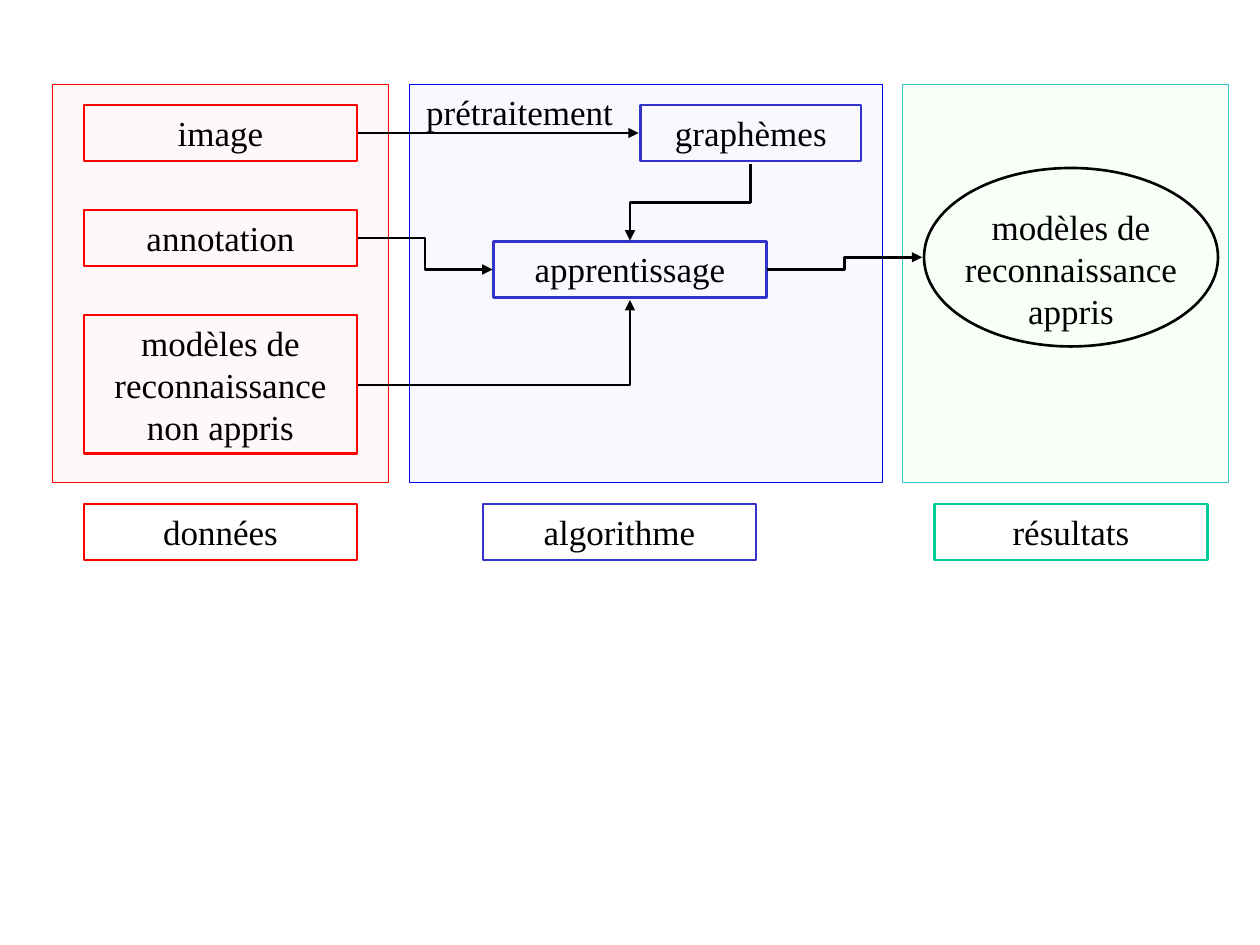
from dataclasses import dataclass

from lxml import etree
from pptx import Presentation
from pptx.dml.color import RGBColor
from pptx.enum.shapes import MSO_CONNECTOR, MSO_SHAPE
from pptx.enum.text import MSO_ANCHOR, MSO_AUTO_SIZE, PP_ALIGN
from pptx.oxml.ns import qn
from pptx.util import Pt

RECTANGLE, ELLIPSE = MSO_SHAPE.RECTANGLE, MSO_SHAPE.OVAL
STRAIGHT, ELBOW = MSO_CONNECTOR.STRAIGHT, MSO_CONNECTOR.ELBOW
TOP, CENTER, GROW = MSO_ANCHOR.TOP, PP_ALIGN.CENTER, MSO_AUTO_SIZE.SHAPE_TO_FIT_TEXT


@dataclass(frozen=True)
class Theme:
    font: str = "Times New Roman"
    size: float = 20
    space_before: float = 12.5
    thin: float = 0.5
    thick: float = 1.5
    black: str = "000000"
    red: str = "FF0000"
    blue: str = "0000FF"
    indigo: str = "3333CC"
    turquoise: str = "33CCCC"
    green: str = "00CC99"
    pale_red: str = "FFF3F3"
    pale_blue: str = "F6F3FF"
    pale_green: str = "F4FFF3"


theme = Theme()


def add_outline(shapes, kind, bounds, color, width):
    shape = shapes.add_shape(kind, *(Pt(value) for value in bounds))
    shape.shadow.inherit = False
    shape.fill.background()
    shape.line.color.rgb = RGBColor.from_string(color)
    shape.line.width = Pt(width)
    return shape


def write_label(shape, text):
    frame = shape.text_frame
    frame.text = text
    frame.word_wrap = True
    frame.auto_size = GROW
    frame.vertical_anchor = TOP
    paragraph = frame.paragraphs[0]
    paragraph.alignment = CENTER
    paragraph.space_before = Pt(theme.space_before)
    font = paragraph.runs[0].font
    font.name = theme.font
    font.size = Pt(theme.size)
    font.color.rgb = RGBColor.from_string(theme.black)


presentation = Presentation()
presentation.slide_width, presentation.slide_height = Pt(720), Pt(540)
slide = presentation.slides.add_slide(presentation.slide_layouts[6])
shapes = slide.shapes

# Half-transparent column panels
for left, width, line, fill in (
    (516, 186, theme.turquoise, theme.pale_green),
    (234, 270, theme.blue, theme.pale_blue),
    (30, 192, theme.red, theme.pale_red),
):
    panel = add_outline(shapes, RECTANGLE, (left, 48, width, 228), line, theme.thin)
    panel.fill.solid()
    panel.fill.fore_color.rgb = RGBColor.from_string(fill)
    color = panel.fill._xPr.find(qn("a:solidFill"))[0]
    etree.SubElement(color, qn("a:alpha")).set("val", "50000")

# Labelled boxes and column captions
box_width, one_line, three_lines = 156, 32, 79
for text, left, top, width, height, color in (
    ("image", 48, 60, box_width, one_line, theme.red),
    ("annotation", 48, 120, box_width, one_line, theme.red),
    ("modèles de reconnaissance non appris", 48, 180, box_width, three_lines, theme.red),
    ("graphèmes", 366, 60, 126, one_line, theme.indigo),
    ("apprentissage", 282, 138, box_width, one_line, theme.indigo),
    ("données", 48, 288, box_width, one_line, theme.red),
    ("algorithme", 276, 288, box_width, one_line, theme.indigo),
    ("résultats", 534, 288, box_width, one_line, theme.green),
):
    box = add_outline(shapes, RECTANGLE, (left, top, width, height), color, theme.thick)
    write_label(box, text)

# Label of the preprocessing arrow
write_label(shapes.add_textbox(Pt(228), Pt(48), Pt(138), Pt(one_line)), "prétraitement")

# Learned models: ellipse grouped with its text
result = shapes.add_group_shape()
add_outline(result.shapes, ELLIPSE, (528, 96, 168, 102), theme.black, theme.thick)
write_label(
    result.shapes.add_textbox(Pt(534), Pt(114), Pt(box_width), Pt(three_lines)),
    "modèles de reconnaissance appris",
)

# Arrows: kind, geometry, start, end, quarter turn
for kind, geometry, start, end, turned in (
    (STRAIGHT, "line", (204.5, 76), (365, 76), False),
    (ELBOW, "bentConnector3", (204.5, 136), (281.5, 154), False),
    (ELBOW, "bentConnector3", (429, 94), (360, 137.5), True),
    (ELBOW, "bentConnector3", (438.5, 154), (527, 147), False),
    (ELBOW, "bentConnector2", (204.5, 220), (360, 171.5), False),
):
    if turned:
        # Undo the quarter turn around the centre to get the unrotated ends
        x, y = (start[0] + end[0]) / 2, (start[1] + end[1]) / 2
        start, end = [(x + py - y, y - px + x) for px, py in (start, end)]
    arrow = shapes.add_connector(kind, *(Pt(value) for value in start + end))
    arrow.line.color.rgb = RGBColor.from_string(theme.black)
    arrow.line.width = Pt(theme.thick)
    properties = arrow._element.spPr
    properties.find(qn("a:prstGeom")).set("prst", geometry)
    if turned:
        properties.find(qn("a:xfrm")).set("rot", "5400000")
    etree.SubElement(properties.find(qn("a:ln")), qn("a:tailEnd")).set("type", "triangle")
    etree.SubElement(properties, qn("a:effectLst"))

presentation.save("out.pptx")
